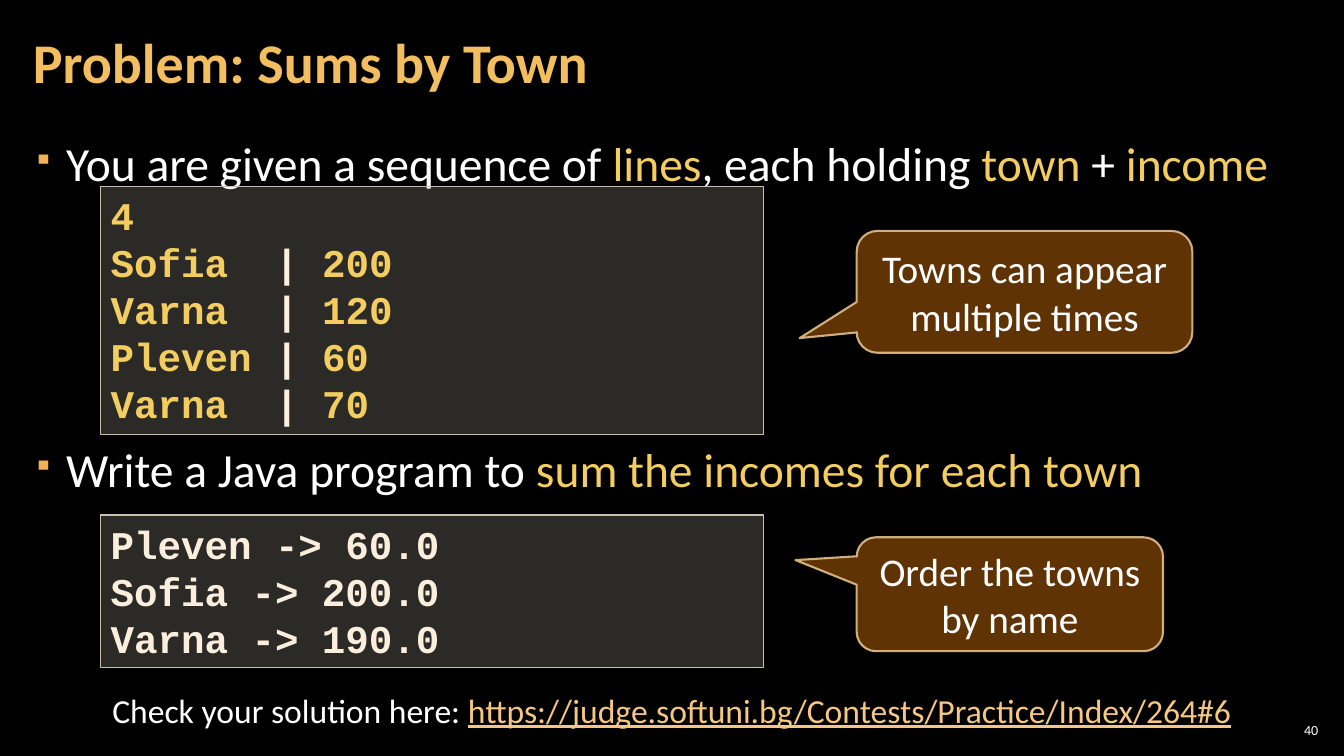
import dataclasses
import typing

import lxml.etree
import pptx
import pptx.dml.color
import pptx.enum.shapes
import pptx.enum.text
import pptx.oxml.ns
import pptx.util

Cm = pptx.util.Cm
Pt = pptx.util.Pt
qn = pptx.oxml.ns.qn
Align = pptx.enum.text.PP_ALIGN
Kind = pptx.enum.shapes.MSO_SHAPE
Mid = pptx.enum.text.MSO_ANCHOR.MIDDLE

WHITE = "FFFFFF"
GOLD = "F3CD60"
CREAM = "FBEEDC"
LINK = "F6C781"

Line = list[tuple[str, str]]
Area = tuple[float, float, float, float]


@dataclasses.dataclass
class Code:
    area: Area
    lines: list[Line]


@dataclasses.dataclass
class Note:
    area: Area
    text: str
    tip: tuple[float, float]


def hue(code: str) -> pptx.dml.color.RGBColor:
    return pptx.dml.color.RGBColor.from_string(code)


def place(area: Area) -> list[int]:
    return [Cm(side) for side in area]


def fade(fill: typing.Any, share: int) -> None:
    node = fill._xPr.find(qn("a:solidFill"))[0]
    lxml.etree.SubElement(node, qn("a:alpha")).set("val", str(share * 1000))


def write(par: typing.Any, line: Line, size: int, face: str = "Calibri",
          bold: bool = False, align: Align = Align.LEFT) -> None:
    par.alignment = align
    par.font.size = Pt(size)
    par.font.name = face
    par.font.bold = bold
    base = line[0][1]
    par.font.color.rgb = hue(base)
    for text, color in line:
        run = par.add_run()
        run.text = text
        if color != base:
            run.font.color.rgb = hue(color)


def paint(shape: typing.Any, fill: str, clear: int, edge: str, width: float) -> None:
    shape.shadow.inherit = False
    shape.fill.solid()
    shape.fill.fore_color.rgb = hue(fill)
    fade(shape.fill, clear)
    shape.line.color.rgb = hue(edge)
    shape.line.width = Pt(width)
    shape.text_frame.word_wrap = True


def label(slide: typing.Any, area: Area) -> typing.Any:
    frame = slide.shapes.add_textbox(*place(area)).text_frame
    frame.word_wrap = True
    return frame


def pad(frame: typing.Any, side: float) -> None:
    frame.margin_left = frame.margin_right = Cm(side)
    frame.margin_top = frame.margin_bottom = Cm(0.1)


def bullet(par: typing.Any) -> None:
    props = par._p.get_or_add_pPr()
    props.set("marL", str(Cm(0.84)))
    props.set("indent", str(Cm(-0.84)))
    tint = lxml.etree.SubElement(props, qn("a:buClr"))
    lxml.etree.SubElement(tint, qn("a:srgbClr")).set("val", "F2B254")
    lxml.etree.SubElement(props, qn("a:buSzPct")).set("val", "60000")
    lxml.etree.SubElement(props, qn("a:buChar")).set("char", "▪")


def draw_code(slide: typing.Any, code: Code) -> None:
    shape = slide.shapes.add_shape(Kind.RECTANGLE, *place(code.area))
    paint(shape, "D9D5C7", 20, "C7BFAC", 1)
    frame = shape.text_frame
    frame.vertical_anchor = pptx.enum.text.MSO_ANCHOR.TOP
    for spot, line in enumerate(code.lines):
        par = frame.add_paragraph() if spot else frame.paragraphs[0]
        write(par, line, 28, "Courier New", True)


def draw_note(slide: typing.Any, note: Note) -> None:
    shape = slide.shapes.add_shape(Kind.ROUNDED_RECTANGULAR_CALLOUT, *place(note.area))
    for spot, value in enumerate((*note.tip, 0.17)):
        shape.adjustments[spot] = value
    paint(shape, "663606", 95, "F8D49E", 1.5)
    fade(shape.line.fill, 80)
    shape.text_frame.vertical_anchor = Mid
    write(shape.text_frame.paragraphs[0], [(note.text, WHITE)], 28, align=Align.CENTER)


def draw_title(slide: typing.Any) -> None:
    title = slide.shapes.title
    title.left, title.top, title.width, title.height = place((0.53, 0.1, 26.6, 3.07))
    frame = title.text_frame
    frame.auto_size = pptx.enum.text.MSO_AUTO_SIZE.NONE
    frame.vertical_anchor = Mid
    pad(frame, 0.3)
    par = frame.paragraphs[0]
    par.line_spacing = 0.9
    write(par, [("Problem: Sums by Town", "F3BE60")], 40, bold=True)


def draw_tasks(slide: typing.Any) -> None:
    frame = label(slide, (0.53, 3.2, 32.8, 15.47))
    pad(frame, 0.3)
    tasks: list[Line] = [
        [("You are given a sequence of ", WHITE), ("lines", GOLD),
         (", each holding ", WHITE), ("town", GOLD), (" + ", WHITE), ("income", GOLD)],
        [("Write a Java program to ", WHITE), ("sum the incomes for each town", GOLD)],
    ]
    for spot, line in enumerate(tasks):
        par = frame.add_paragraph() if spot else frame.paragraphs[0]
        bullet(par)
        par.line_spacing = 1.05
        par.space_after = Pt(6)
        par.space_before = Pt(170 * spot)
        write(par, line, 34)


def draw_foot(slide: typing.Any) -> None:
    check = label(slide, (2.26, 17.25, 29.34, 1.27)).paragraphs[0]
    write(check, [("Check your solution here: ", WHITE),
                  ("https://judge.softuni.bg/Contests/Practice/Index/264#6", LINK)],
          24, align=Align.CENTER)
    check.runs[1].font.underline = True
    page = label(slide, (32.13, 18.14, 1.19, 0.53))
    pad(page, 0.1)
    page.vertical_anchor = Mid
    write(page.paragraphs[0], [("40", WHITE)], 10, align=Align.RIGHT)


def main() -> None:
    deck = pptx.Presentation()
    deck.slide_width, deck.slide_height = Cm(33.87), Cm(19.05)
    slide = deck.slides.add_slide(deck.slide_layouts[5])
    slide.background.fill.solid()
    slide.background.fill.fore_color.rgb = hue("000000")

    towns = [("Sofia", "  | ", "200"), ("Varna", "  | ", "120"),
             ("Pleven ", "| ", "60"), ("Varna", "  | ", "70")]
    rows: list[Line] = [list(zip(town, (GOLD, CREAM, GOLD))) for town in towns]
    sums = ["Pleven -> 60.0", "Sofia -> 200.0", "Varna -> 190.0"]
    codes = [
        Code((2.54, 4.7, 16.71, 6.25), [[("4", GOLD)], *rows]),
        Code((2.54, 12.98, 16.71, 3.84), [[(text, CREAM)] for text in sums]),
    ]
    notes = [
        Note((21.59, 5.82, 8.46, 3.07), "Towns can appear multiple times", (-0.67, 0.38)),
        Note((21.59, 13.54, 7.72, 2.87), "Order the towns by name", (-0.7, -0.3)),
    ]

    draw_title(slide)
    draw_tasks(slide)
    for code in codes:
        draw_code(slide, code)
    for note in notes:
        draw_note(slide, note)
    draw_foot(slide)
    deck.save("out.pptx")


if __name__ == "__main__":
    main()
